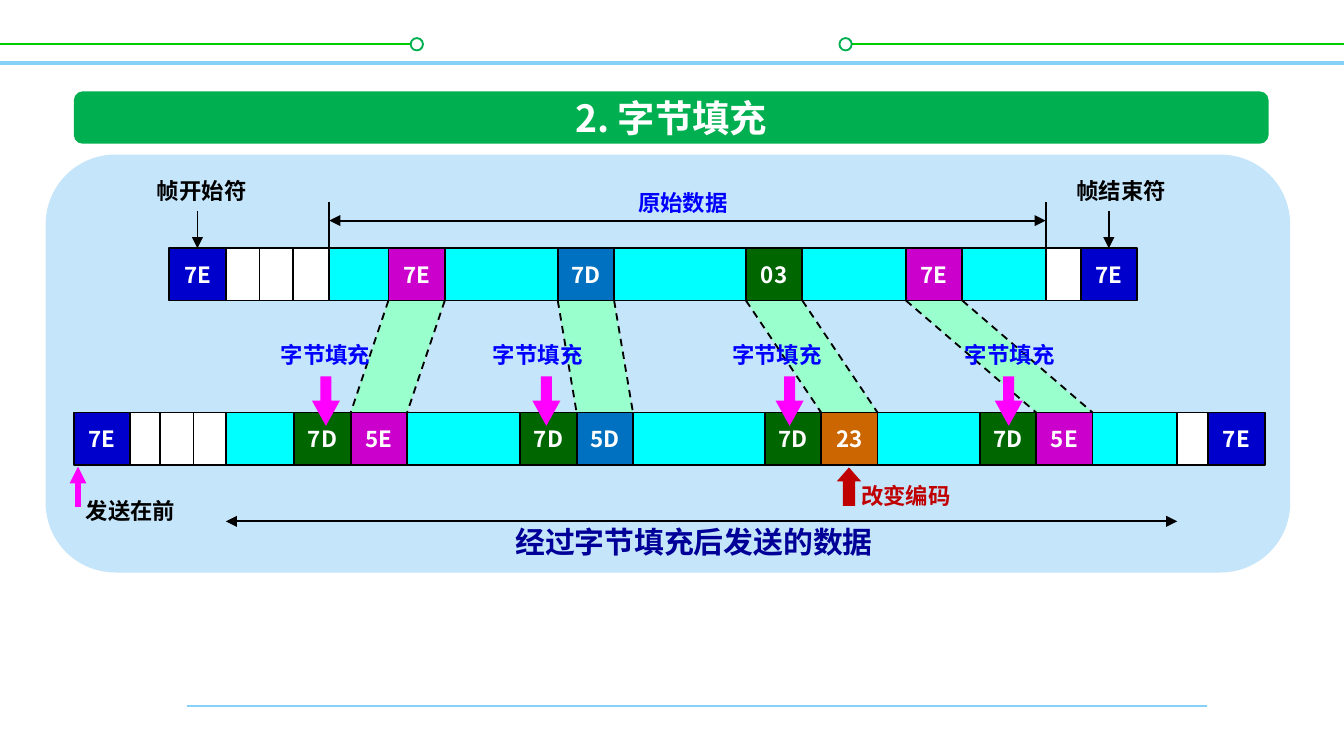
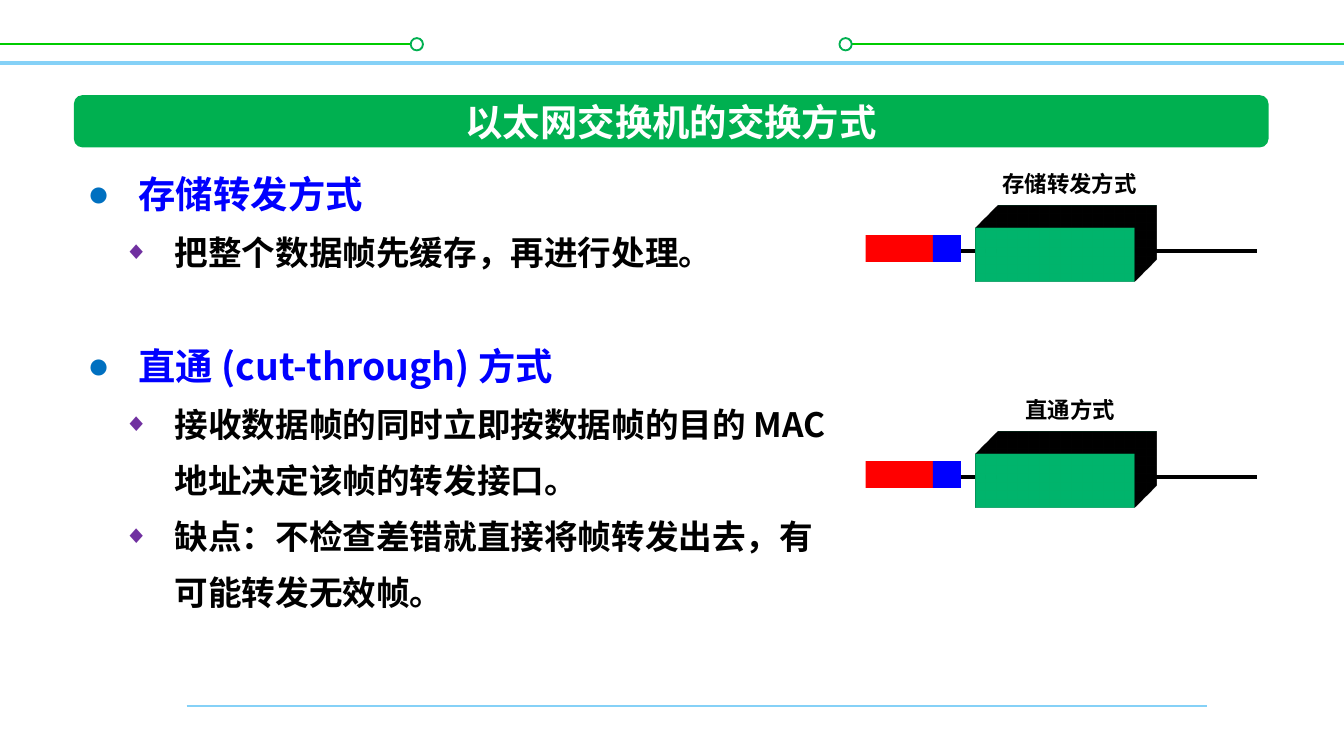
from lxml import etree
from pptx import Presentation
from pptx.dml.color import RGBColor
from pptx.enum.dml import MSO_LINE
from pptx.enum.shapes import MSO_CONNECTOR, MSO_SHAPE
from pptx.enum.text import MSO_ANCHOR, MSO_AUTO_SIZE, PP_ALIGN
from pptx.oxml.ns import qn
from pptx.util import Pt

RECTANGLE = MSO_SHAPE.RECTANGLE
ROUNDED = MSO_SHAPE.ROUNDED_RECTANGLE
OVAL = MSO_SHAPE.OVAL
DOWN_ARROW = MSO_SHAPE.DOWN_ARROW
UP_ARROW = MSO_SHAPE.UP_ARROW
STRAIGHT = MSO_CONNECTOR.STRAIGHT
DASH = MSO_LINE.DASH
SYSTEM_DASH = MSO_LINE.SQUARE_DOT
CENTER = PP_ALIGN.CENTER
LEFT = PP_ALIGN.LEFT
TOP = MSO_ANCHOR.TOP
MIDDLE = MSO_ANCHOR.MIDDLE
FIT_SHAPE = MSO_AUTO_SIZE.SHAPE_TO_FIT_TEXT

FONT = "Noto Sans CJK SC"
COLORS = {
    "white": "FFFFFF", "black": "000000", "sky": "85D1F7", "lime": "00CC00",
    "banner": "00B050", "panel": "C5E5FB", "flag": "0000CC", "data": "00FFFF",
    "purple": "CC00CC", "blue": "0070C0", "green": "006600", "orange": "CC6600",
    "ribbon": "99FFCC", "heading": "0000FF", "navy": "000099", "magenta": "FF00FF",
    "crimson": "C00000", "diamond": "7030A0", "switch": "00FF99", "red": "FF0000",
}
COLORS = {name: RGBColor.from_string(value) for name, value in COLORS.items()}


def draw_shape(slide, preset, left, top, width, height, fill, outline=None, weight=1):
    shape = slide.shapes.add_shape(preset, Pt(left), Pt(top), Pt(width), Pt(height))
    shape.shadow.inherit = False
    shape.fill.solid()
    shape.fill.fore_color.rgb = COLORS[fill]
    if outline:
        shape.line.color.rgb = COLORS[outline]
        shape.line.width = Pt(weight)
    else:
        shape.line.fill.background()
    return shape


def draw_line(slide, x1, y1, x2, y2, color="black", weight=1, dash=None, arrows=()):
    connector = slide.shapes.add_connector(STRAIGHT, Pt(x1), Pt(y1), Pt(x2), Pt(y2))
    connector.line.color.rgb = COLORS[color]
    connector.line.width = Pt(weight)
    if dash:
        connector.line.dash_style = dash
    properties = connector.element.spPr
    for end in arrows:
        etree.SubElement(properties.find(qn("a:ln")), qn(f"a:{end}"), type="triangle")
    etree.SubElement(properties, qn("a:effectLst"))
    return connector


presentation = Presentation()
presentation.slide_width = Pt(720)
presentation.slide_height = Pt(405)
stuffing = presentation.slides.add_slide(presentation.slide_layouts[5])
switching = presentation.slides.add_slide(presentation.slide_layouts[3])

decorations = [
    draw_line(stuffing, 0, 33.8, 720, 33.8, "sky", 2),
    draw_line(stuffing, 0, 23.8, 223, 23.8, "lime"),
    draw_shape(stuffing, OVAL, 220, 20.4, 6.6, 6.6, "white", "banner"),
    draw_line(stuffing, 450, 23.8, 720, 23.8, "lime"),
    draw_shape(stuffing, OVAL, 449.7, 20.4, 6.6, 6.6, "white", "banner"),
    draw_line(stuffing, 100, 378.2, 646.5, 378.2, "sky", 1.5),
]
master_tree = presentation.slide_master.element.cSld.spTree
for number, decoration in enumerate(decorations, 101):
    decoration.element.xpath(".//p:cNvPr")[0].set("id", str(number))
    master_tree.append(decoration.element)

for slide, text, top, width in [
    (stuffing, "2. 字节填充", 49, 126),
    (switching, "以太网交换机的交换方式", 51, 237),
]:
    banner = draw_shape(slide, ROUNDED, 39.6, top, 640, 28, "banner")
    banner.adjustments[0] = 0.167
    title = slide.shapes.title
    banner.element.addnext(title.element)
    title.left, title.top = Pt(359.6 - width / 2), Pt(top - 1.7)
    title.width, title.height = Pt(width), Pt(31.7)
    frame = title.text_frame
    frame.text = text
    frame.word_wrap = False
    frame.auto_size = FIT_SHAPE
    frame.vertical_anchor = TOP
    frame.paragraphs[0].alignment = CENTER
    font = frame.paragraphs[0].runs[0].font
    font.size = Pt(20)
    font.color.rgb = COLORS["white"]

draw_shape(stuffing, ROUNDED, 24.5, 82.8, 666.7, 223.9, "panel")

CELL_WIDTH, CELL_HEIGHT = 30.2, 28
UPPER, LOWER = 133, 221
UPPER_BOTTOM = UPPER + CELL_HEIGHT
replacements = [
    (208.1, "7E", "purple", 187.9, "5E", "purple", 143.3, 174.6),
    (298.8, "7D", "blue", 308.9, "5D", "blue", 257, 292.7),
    (399.6, "03", "green", 439.9, "23", "orange", 385.2, 423),
    (485.3, "7E", "purple", 555.1, "5E", "purple", 509.8, 540.4),
]

for upper_x, _, _, lower_x, _, _, _, _ in replacements:
    builder = stuffing.shapes.build_freeform(Pt(lower_x), Pt(LOWER))
    builder.add_line_segments([
        (Pt(lower_x + CELL_WIDTH), Pt(LOWER)),
        (Pt(upper_x + CELL_WIDTH), Pt(UPPER_BOTTOM)),
        (Pt(upper_x), Pt(UPPER_BOTTOM)),
    ])
    ribbon = builder.convert_to_shape()
    ribbon.shadow.inherit = False
    ribbon.fill.solid()
    ribbon.fill.fore_color.rgb = COLORS["ribbon"]
    ribbon.line.fill.background()

for left, top, width, fill in [
    (163.4, UPPER, 397.4, "data"), (121, LOWER, 509.8, "data"),
    (121, UPPER, 19.4, "white"), (139, UPPER, 19.4, "white"),
    (157, UPPER, 19.4, "white"), (560.2, UPPER, 19.4, "white"),
    (69.1, LOWER, 20.9, "white"), (85.7, LOWER, 20.2, "white"),
    (103.7, LOWER, 17.3, "white"), (630.7, LOWER, 17.3, "white"),
]:
    draw_shape(stuffing, RECTANGLE, left, top, width, CELL_HEIGHT, fill, "black")

byte_cells = [
    (90.7, UPPER, "7E", "flag"), (578.9, UPPER, "7E", "flag"),
    (39.6, LOWER, "7E", "flag"), (647.3, LOWER, "7E", "flag"),
]
for upper_x, upper_text, upper_fill, lower_x, lower_text, lower_fill, _, _ in replacements:
    byte_cells += [
        (upper_x, UPPER, upper_text, upper_fill),
        (lower_x - CELL_WIDTH, LOWER, "7D", "green"),
        (lower_x, LOWER, lower_text, lower_fill),
    ]
for left, top, text, fill in byte_cells:
    cell = draw_shape(stuffing, RECTANGLE, left, top, CELL_WIDTH, CELL_HEIGHT, fill, "black")
    frame = cell.text_frame
    frame.text = text
    frame.word_wrap = False
    frame.vertical_anchor = MIDDLE
    frame.paragraphs[0].alignment = CENTER
    font = frame.paragraphs[0].runs[0].font
    font.size = Pt(12)
    font.color.rgb = COLORS["white"]
    if top == UPPER and fill == "flag":
        center = left + CELL_WIDTH / 2
        pointer = draw_line(stuffing, center, 113, center, UPPER, arrows=["tailEnd"])
        pointer.end_connect(cell, 0)

labels = [
    (stuffing, "原始数据", 334.8, 97.9, 63.4, 21.6, 12, "heading", LEFT),
    (stuffing, "经过字节填充后发送的数据", 251.3, 277.2, 241.2, 26.6, 16, "navy", CENTER),
    (stuffing, "发送在前", 38.9, 262.8, 67, 21.6, 12, "black", LEFT),
    (stuffing, "帧开始符", 77, 91.4, 63.4, 21.6, 12, "black", LEFT),
    (stuffing, "帧结束符", 569.5, 91.4, 63.4, 21.6, 12, "black", LEFT),
    (stuffing, "改变编码", 454.3, 254.9, 63.4, 21.6, 12, "crimson", LEFT),
    (switching, "存储转发方式", 529.9, 87.4, 87.1, 21.6, 12, "black", LEFT),
    (switching, "直通方式", 542.2, 208.8, 63.4, 21.6, 12, "black", LEFT),
]
for upper_x, _, _, lower_x, _, _, label_x, arrow_x in replacements:
    for offset in (0, CELL_WIDTH):
        draw_line(stuffing, upper_x + offset, UPPER_BOTTOM, lower_x + offset, LOWER, dash=DASH)
    arrow = draw_shape(stuffing, DOWN_ARROW, arrow_x - 7.5, 201.6, 15, 26.6, "magenta")
    arrow.adjustments[0], arrow.adjustments[1] = 0.394, 0.901
    labels.append((stuffing, "字节填充", label_x, 179.3, 63.4, 21.6, 12, "heading", LEFT))

for left, right, y in [(176.4, 560.2, 118.2), (121, 630.7, 279.3)]:
    draw_line(stuffing, left, y, right, y, arrows=["headEnd", "tailEnd"])
for x in (176.4, 560.2):
    draw_line(stuffing, x, 108.5, x, 132.5)
draw_line(stuffing, 41.8, 271.6, 41.8, 250, "magenta", 3, arrows=["tailEnd"])
change_arrow = draw_shape(stuffing, UP_ARROW, 448.3, 250.4, 13, 20.6, "crimson")
change_arrow.adjustments[0], change_arrow.adjustments[1] = 0.5, 0.571

for y in (0, 121):
    draw_line(switching, 476.6, 134.6 + y, 536.4, 134.6 + y, weight=2.25)
    draw_line(switching, 673.2, 134.6 + y, 605.5, 134.6 + y, weight=2.25)
    switch = draw_shape(switching, RECTANGLE, 522.6, 122.2 + y, 85, 28.8, "switch", "black", 0.75)
    switch.line.dash_style = SYSTEM_DASH
    properties = switch.element.spPr
    scene = etree.SubElement(properties, qn("a:scene3d"))
    etree.SubElement(scene, qn("a:camera"), prst="legacyObliqueTopRight")
    etree.SubElement(scene, qn("a:lightRig"), rig="legacyFlat3", dir="b")
    solid = etree.SubElement(properties, qn("a:sp3d"), extrusionH=str(Pt(33.9)),
                             prstMaterial="legacyMatte")
    extrusion = etree.SubElement(solid, qn("a:extrusionClr"))
    etree.SubElement(extrusion, qn("a:srgbClr"), val=str(COLORS["black"]))
    draw_shape(switching, RECTANGLE, 463.7, 126 + y, 51.1, 14.4, "red")
    draw_shape(switching, RECTANGLE, 499.7, 126 + y, 15.1, 14.4, "heading")

list_levels = [
    {"margin": 27.4, "spacing": 33, "size": 20, "color": "heading",
     "bullet": "●", "bullet_color": "blue", "bullet_size": 100},
    {"margin": 46.8, "spacing": 30, "size": 18, "color": "black",
     "bullet": "◆", "bullet_color": "diamond", "bullet_size": 75},
]
lists = [
    (1, 79.2, 640, 67.7, ["存储转发方式", "把整个数据帧先缓存，再进行处理。"]),
    (2, 171.4, 412.6, 162, [
        "直通 (cut-through) 方式",
        "接收数据帧的同时立即按数据帧的目的 MAC 地址决定该帧的转发接口。",
        "缺点：不检查差错就直接将帧转发出去，有可能转发无效帧。",
    ]),
]
for index, top, width, height, lines in lists:
    body = switching.placeholders[index]
    body.left, body.top, body.width, body.height = Pt(39.6), Pt(top), Pt(width), Pt(height)
    frame = body.text_frame
    frame.text = "\n".join(lines)
    frame.word_wrap = True
    frame.auto_size = FIT_SHAPE
    for position, paragraph in enumerate(frame.paragraphs):
        paragraph.level = min(position, 1)
        style = list_levels[paragraph.level]
        properties = paragraph._p.get_or_add_pPr()
        properties.set("marL", str(Pt(style["margin"])))
        properties.set("indent", str(Pt(-27.4)))
        bullet_color = etree.SubElement(properties, qn("a:buClr"))
        etree.SubElement(bullet_color, qn("a:srgbClr"), val=str(COLORS[style["bullet_color"]]))
        etree.SubElement(properties, qn("a:buSzPct"), val=str(style["bullet_size"] * 1000))
        etree.SubElement(properties, qn("a:buChar"), char=style["bullet"])
        paragraph.line_spacing = Pt(style["spacing"])
        paragraph.space_before = Pt(0)
        font = paragraph.runs[0].font
        font.size = Pt(style["size"])
        font.color.rgb = COLORS[style["color"]]

for slide, text, left, top, width, height, size, color, alignment in labels:
    label = slide.shapes.add_textbox(Pt(left), Pt(top), Pt(width), Pt(height))
    frame = label.text_frame
    frame.text = text
    frame.word_wrap = False
    frame.auto_size = FIT_SHAPE
    frame.paragraphs[0].alignment = alignment
    font = frame.paragraphs[0].runs[0].font
    font.size = Pt(size)
    font.color.rgb = COLORS[color]

for slide in presentation.slides:
    for shape in slide.shapes:
        if shape.has_text_frame:
            for paragraph in shape.text_frame.paragraphs:
                for run in paragraph.runs:
                    run.font.bold = True
                    run.font.name = FONT
                    latin = run.font._element.find(qn("a:latin"))
                    latin.addnext(latin.makeelement(qn("a:ea"), typeface=FONT))

presentation.save("out.pptx")
